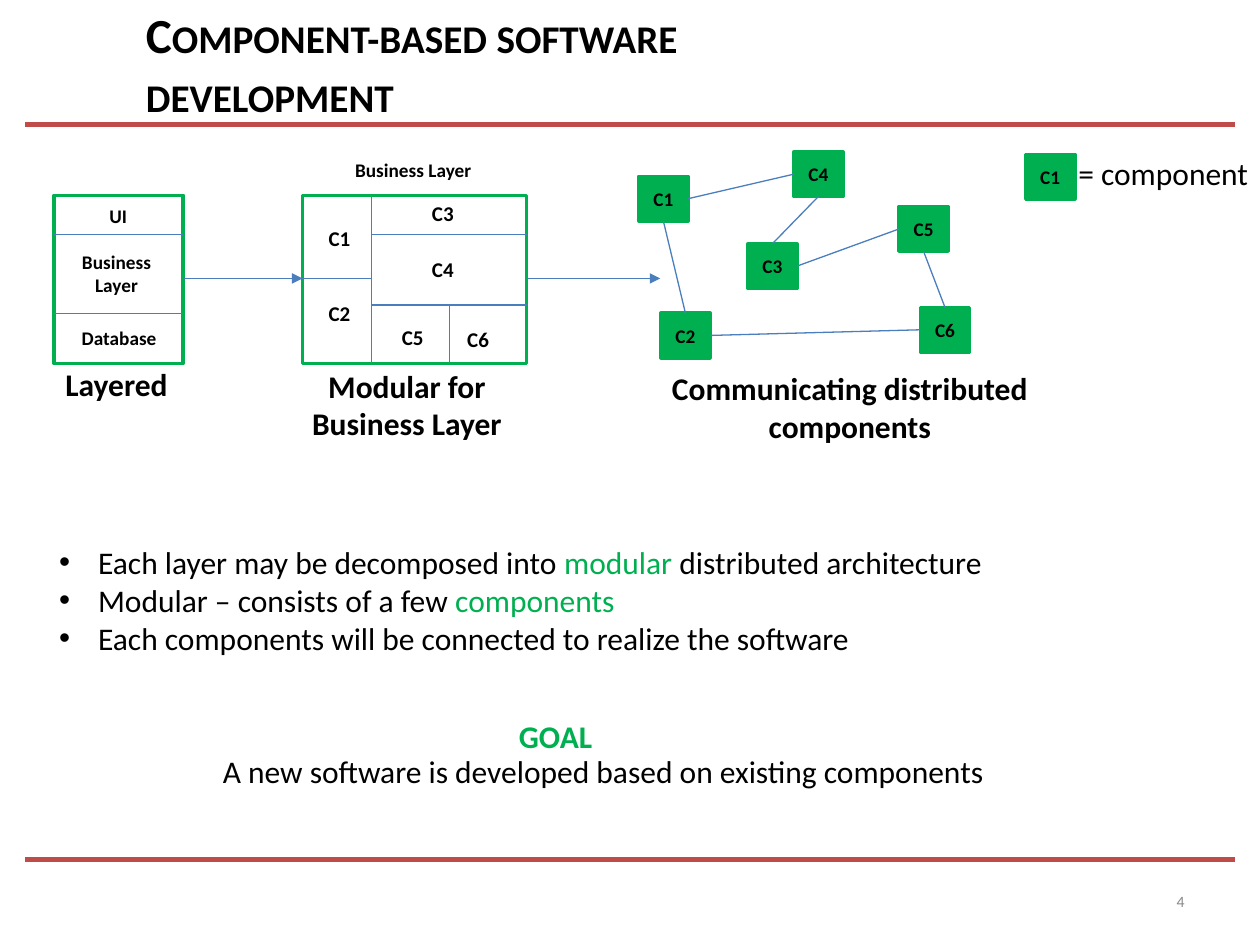
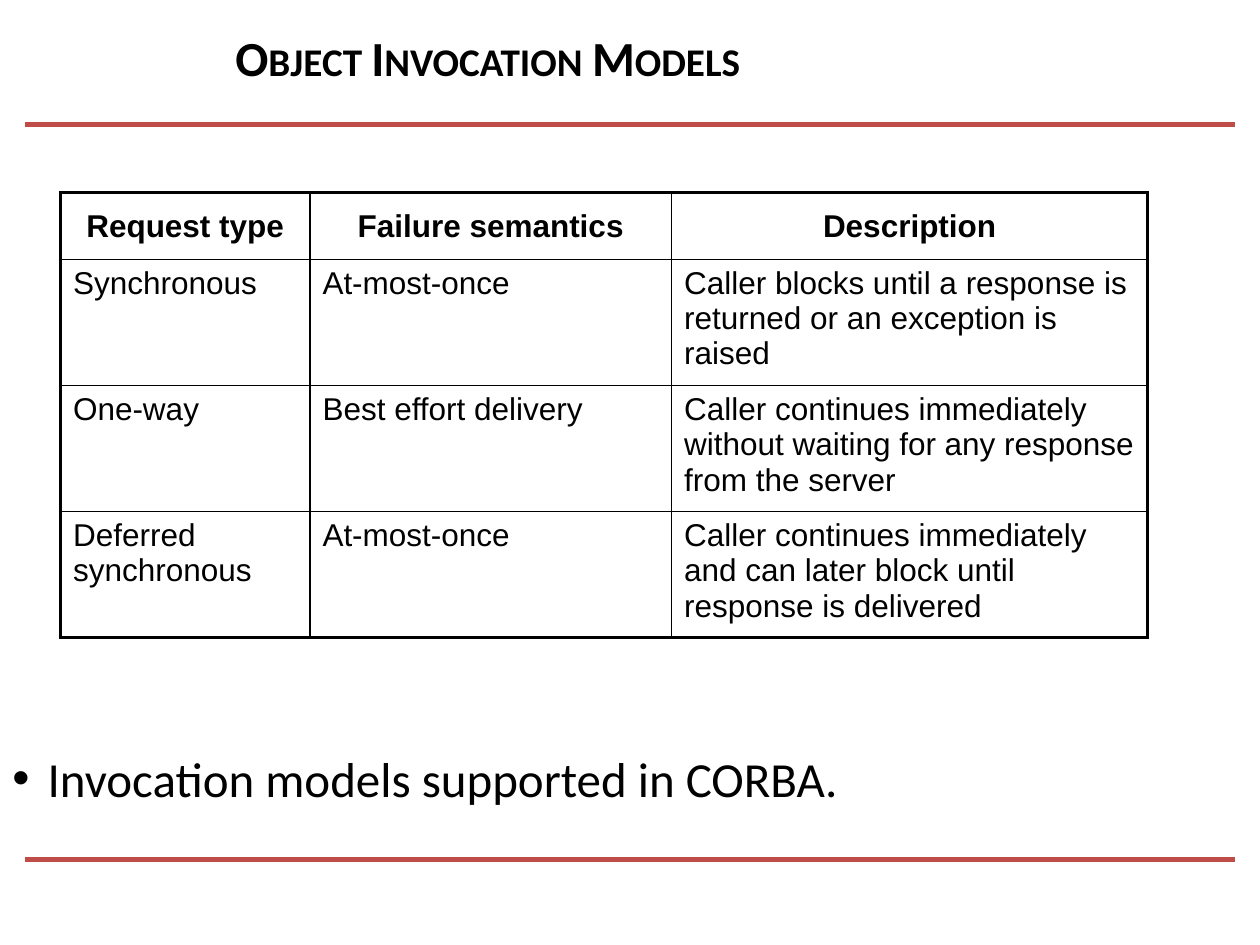
from dataclasses import dataclass
from typing import NamedTuple

from lxml.etree import SubElement
from pptx import Presentation
from pptx.dml.color import RGBColor
from pptx.enum.shapes import MSO_CONNECTOR, MSO_SHAPE
from pptx.enum.text import MSO_ANCHOR, MSO_AUTO_SIZE, PP_ALIGN
from pptx.oxml.ns import qn
from pptx.shapes.autoshape import Shape
from pptx.shapes.connector import Connector
from pptx.slide import Slide
from pptx.text.text import TextFrame
from pptx.util import Inches, Pt

BLACK = RGBColor(0x00, 0x00, 0x00)
GREEN = RGBColor(0x00, 0xB0, 0x50)
BLUE = RGBColor(0x4B, 0x7E, 0xBC)
RED = RGBColor(0xBF, 0x4C, 0x48)
GRAY = RGBColor(0x89, 0x89, 0x89)

WIDTH, HEIGHT = Inches(10), Inches(7.5)
COL, ROW = WIDTH / 100, HEIGHT / 75
LEFT, MID, RIGHT = PP_ALIGN.LEFT, PP_ALIGN.CENTER, PP_ALIGN.RIGHT
TOP, SIDE_L, BASE, SIDE_R = range(4)


class Area(NamedTuple):
    x: float
    y: float
    w: float
    h: float

    def scale(self) -> tuple[int, int, int, int]:
        return (round(self.x * COL), round(self.y * ROW),
                round(self.w * COL), round(self.h * ROW))


class Line(NamedTuple):
    x1: float
    y1: float
    x2: float
    y2: float
    arrow: bool = False
    color: RGBColor = BLUE
    width: float = 0.75


class Link(NamedTuple):
    start: str
    out: int
    end: str
    into: int


class Part(NamedTuple):
    text: str
    color: RGBColor | None = None


@dataclass(frozen=True)
class Label:
    lines: tuple[str | tuple[Part, ...], ...]
    area: Area
    size: float = 18
    bold: bool = True
    align: PP_ALIGN = LEFT
    color: RGBColor = BLACK
    font: str = "Calibri"
    indent: float = 0
    wrap: bool = False
    middle: bool = False
    small: bool = False


def write(frame: TextFrame, label: Label) -> None:
    frame.word_wrap = label.wrap
    frame.vertical_anchor = MSO_ANCHOR.MIDDLE if label.middle else MSO_ANCHOR.TOP
    for i, line in enumerate(label.lines):
        para = frame.add_paragraph() if i else frame.paragraphs[0]
        para.alignment = label.align
        if label.indent:
            props = para._p.get_or_add_pPr()
            props.set("marL", str(round(label.indent * COL)))
            props.set("indent", str(-round(label.indent * COL)))
            SubElement(props, qn("a:buFont"), typeface="Arial")
            SubElement(props, qn("a:buChar"), char="•")
        font = para.font
        font.name, font.size, font.bold = label.font, Pt(label.size), label.bold
        font.color.rgb = label.color
        for part in (Part(line),) if isinstance(line, str) else line:
            run = para.add_run()
            run.text = part.text
            if part.color:
                run.font.color.rgb = part.color
            if label.small:
                run._r.get_or_add_rPr().set("cap", "small")


def add_label(slide: Slide, label: Label) -> None:
    frame = slide.shapes.add_textbox(*label.area.scale()).text_frame
    write(frame, label)
    if not label.wrap:
        frame.auto_size = MSO_AUTO_SIZE.SHAPE_TO_FIT_TEXT


def add_line(slide: Slide, line: Line) -> Connector:
    wire = slide.shapes.add_connector(
        MSO_CONNECTOR.STRAIGHT, round(line.x1 * COL), round(line.y1 * ROW),
        round(line.x2 * COL), round(line.y2 * ROW))
    wire.line.color.rgb = line.color
    wire.line.width = Pt(line.width)
    if line.arrow:
        SubElement(wire.line._get_or_add_ln(), qn("a:tailEnd"), type="triangle")
    SubElement(wire._element.spPr, qn("a:effectLst"))
    return wire


def add_box(slide: Slide, area: Area, name: str = "") -> Shape:
    box = slide.shapes.add_shape(MSO_SHAPE.RECTANGLE, *area.scale())
    box.shadow.inherit = False
    box.line.color.rgb = GREEN
    box.line.width = Pt(2)
    if name:
        box.fill.solid()
        box.fill.fore_color.rgb = GREEN
        write(box.text_frame, Label((name,), area, 11, align=MID, middle=True))
    else:
        box.fill.background()
    return box


def add_link(slide: Slide, link: Link, nodes: dict[str, Shape]) -> None:
    wire = add_line(slide, Line(0, 0, 0, 0))
    wire.begin_connect(nodes[link.start], link.out)
    wire.end_connect(nodes[link.end], link.into)


def add_page(deck: Presentation, title: str, x: float, y: float) -> Slide:
    slide = deck.slides.add_slide(deck.slide_layouts[6])
    for rule in (9.9, 68.2):
        add_line(slide, Line(2, rule, 98, rule, color=RED, width=3))
    add_label(slide, Label((title,), Area(x, y, 62.3, 7.7), 28,
                           wrap=True, middle=True, small=True))
    return slide


FRAMES = (Area(4.3, 15.5, 10.25, 13.35), Area(24, 15.5, 17.8, 13.35))
SPLITS = (
    Line(4.3, 18.6, 14.55, 18.6), Line(4.3, 24.9, 14.55, 24.9),
    Line(29.5, 15.5, 29.5, 28.85), Line(29.5, 18.6, 41.8, 18.6),
    Line(29.5, 24.2, 41.8, 24.2), Line(35.7, 24.2, 35.7, 28.85),
    Line(24, 22.1, 29.5, 22.1),
    Line(14.55, 22.1, 24, 22.1, True), Line(41.8, 22.1, 52.4, 22.1, True),
)
CELLS = {"C1": (25.1, 17.4), "C2": (25.1, 23.4), "C3": (33.3, 15.4),
         "C4": (33.3, 19.9), "C5": (30.9, 25.3), "C6": (36.1, 25.4)}
NODES = {"C1": (50.7, 14), "C2": (52.45, 24.85), "C3": (59.35, 19.35),
         "C4": (63, 12.05), "C5": (71.35, 16.4), "C6": (73.05, 24.4)}
KEY = (81.4, 12.25)
LINKS = (
    Link("C1", SIDE_R, "C4", SIDE_L), Link("C4", BASE, "C3", TOP),
    Link("C2", SIDE_R, "C6", SIDE_L), Link("C5", BASE, "C6", TOP),
    Link("C5", SIDE_L, "C3", SIDE_R), Link("C1", BASE, "C2", TOP),
)
LABELS = (
    Label(("Database",), Area(5.5, 25.4, 8, 2.9), 11),
    Label(("UI",), Area(7.7, 15.7, 3.4, 2.8), 11),
    Label(("Business", "Layer"), Area(5.5, 19.4, 7.5, 4.7), 11, align=MID),
    Label(("Business Layer",), Area(27.2, 12.1, 11.3, 2.9), 11),
    Label(("Layered",), Area(4.2, 28.5, 10.2, 4)),
    Label(("Modular for", "Business Layer"), Area(23.7, 28.6, 17.2, 7.1), align=MID),
    Label(("Communicating distributed", "components"),
          Area(52.2, 28.8, 30.5, 7.1), align=MID),
    Label(((Part("Each layer may be decomposed into "), Part("modular", GREEN),
            Part(" distributed architecture")),
           (Part("Modular – consists of a few "), Part("components", GREEN)),
           "Each components will be connected to realize the software"),
          Area(3.7, 42.6, 76.1, 10.1), bold=False, indent=3.1),
    Label(("GOAL",), Area(40.2, 56.4, 7.9, 4), color=GREEN),
    Label(("A new software is developed based on existing components",),
          Area(16.7, 59.2, 63.2, 4), bold=False),
    Label(("= component",), Area(84.6, 11.7, 15.7, 4), bold=False),
    Label(("4",), Area(71.7, 69.5, 23.3, 4), 9, False, RIGHT, GRAY,
          wrap=True, middle=True),
)

GRID = Area(4.8, 15.3, 86.3, 35.3)
SPANS = (19.8, 28.7, 37.8)
TIERS = (5.3, 10, 10, 10)
MODELS = (
    ("Request type", "Failure semantics", "Description"),
    ("Synchronous", "At-most-once",
     "Caller blocks until a response is returned or an exception is raised"),
    ("One-way", "Best effort delivery",
     "Caller continues immediately without waiting for any response from the server"),
    ("Deferred synchronous", "At-most-once",
     "Caller continues immediately and can later block until response is delivered"),
)


def draw_parts(deck: Presentation) -> None:
    slide = add_page(deck, "Component-based software development", 10.6, 1.2)
    for area in FRAMES:
        add_box(slide, area)
    for line in SPLITS:
        add_line(slide, line)
    for name, (x, y) in CELLS.items():
        add_label(slide, Label((name,), Area(x, y, 3.8, 3), 12))
    nodes = {name: add_box(slide, Area(x, y, 3.9, 3.55), name)
             for name, (x, y) in NODES.items()}
    add_box(slide, Area(*KEY, 3.9, 3.55), "C1")
    for link in LINKS:
        add_link(slide, link, nodes)
    for label in LABELS:
        add_label(slide, label)


def draw_models(deck: Presentation) -> None:
    slide = add_page(deck, "Object Invocation Models", 17.7, 0.7)
    add_label(slide, Label(("Invocation models supported in CORBA.",),
                           Area(0, 58.9, 100, 9.2), 28, False, indent=2.8, wrap=True))
    table = slide.shapes.add_table(len(TIERS), len(SPANS), *GRID.scale()).table
    table.first_row = table.horz_banding = False
    for col, span in zip(table.columns, SPANS):
        col.width = round(span * COL)
    for r, (row, tier) in enumerate(zip(table.rows, TIERS)):
        row.height = round(tier * ROW)
        for c, cell in enumerate(row.cells):
            head = r == 0
            write(cell.text_frame, Label((MODELS[r][c],), GRID, bold=head, font="Arial",
                                         align=MID if head else LEFT, wrap=True))
            cell.vertical_anchor = MSO_ANCHOR.MIDDLE if head else MSO_ANCHOR.TOP
            outer = {"L": c == 0, "R": c == len(SPANS) - 1,
                     "T": head, "B": r == len(TIERS) - 1}
            props = cell._tc.get_or_add_tcPr()
            for side, edge in outer.items():
                rule = SubElement(props, qn(f"a:ln{side}"), w=str(Pt(2.25 if edge else 1)))
                fill = SubElement(rule, qn("a:solidFill"))
                SubElement(fill, qn("a:srgbClr"), val=str(BLACK))
            cell.fill.background()


def main() -> None:
    deck = Presentation()
    deck.slide_width, deck.slide_height = WIDTH, HEIGHT
    draw_parts(deck)
    draw_models(deck)
    deck.save("out.pptx")


if __name__ == "__main__":
    main()
